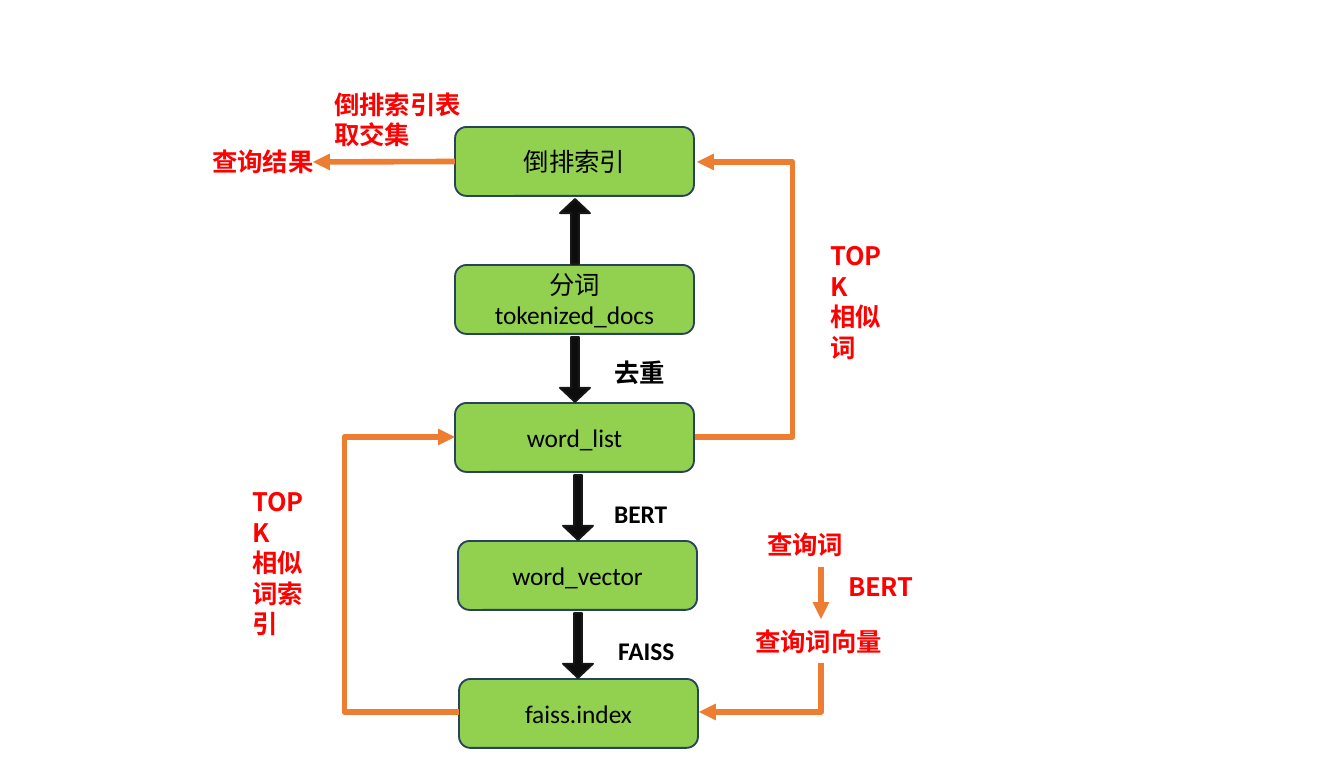
"""Build the word search flow slide."""
from lxml import etree
from pptx import Presentation, util as u
from pptx.dml.color import RGBColor
from pptx.enum import shapes, text
from pptx.oxml import ns

GREEN = RGBColor(0x92, 0xD0, 0x50)
NAVY = RGBColor(0x28, 0x44, 0x5D)
INK = RGBColor(0x0D, 0x0D, 0x0D)
EDGE = RGBColor(0x18, 0x17, 0x17)
BLACK = RGBColor(0, 0, 0)
RED = RGBColor(0xFF, 0, 0)
ORANGE = RGBColor(0xED, 0x7D, 0x31)
LATIN, HAN = "Calibri", "Noto Sans CJK SC"


def px(n):
    return u.Emu(round(n * 914400 / 134.4))


class Flow:
    """Holds the style and the current slide."""

    def __init__(self, slide):
        self.slide = slide
        self.size = u.Pt(13.6)

    def letter(self, frame, words, font, color, bold=False, align=None):
        frame.word_wrap = True
        frame.text = words
        for para in frame.paragraphs:
            para.alignment = align
            para.font.size, para.font.name = self.size, font
            para.font.bold, para.font.color.rgb = bold, color

    def shape(self, kind, x, y, w, h, fill, edge):
        item = self.slide.shapes.add_shape(kind, px(x), px(y), px(w), px(h))
        item.shadow.inherit = False
        item.fill.solid()
        item.fill.fore_color.rgb = fill
        item.line.color.rgb, item.line.width = edge, u.Pt(1)
        return item

    def box(self, x, y, words):
        item = self.shape(shapes.MSO_SHAPE.ROUNDED_RECTANGLE, x, y, 239, 69, GREEN, NAVY)
        item.text_frame.vertical_anchor = text.MSO_ANCHOR.MIDDLE
        self.letter(item.text_frame, words, LATIN, BLACK, align=text.PP_ALIGN.CENTER)
        return item

    def block(self, x, y, turn):
        item = self.shape(shapes.MSO_SHAPE.DOWN_ARROW, x, y, 30, 65, INK, EDGE)
        item.adjustments[0], item.adjustments[1] = 0.26, 0.47
        item.rotation = turn

    def label(self, x, y, w, h, words, font=HAN, color=RED):
        item = self.slide.shapes.add_textbox(px(x), px(y), px(w), px(h))
        self.letter(item.text_frame, words, font, color, bold=True)

    def arrow(self, x, y, x2, y2, kind=shapes.MSO_CONNECTOR.STRAIGHT):
        item = self.slide.shapes.add_connector(kind, px(x), px(y), px(x2), px(y2))
        item.line.color.rgb, item.line.width = ORANGE, u.Pt(3)
        props = item._element.spPr
        etree.SubElement(props.find(ns.qn("a:ln")), ns.qn("a:tailEnd"), type="triangle")
        etree.SubElement(props, ns.qn("a:effectLst"))
        return item

    def loop(self, x, y, x2, y2, bend):
        item = self.arrow(x, y, x2, y2, shapes.MSO_CONNECTOR.ELBOW)
        geom = item._element.spPr.find(ns.qn("a:prstGeom"))
        guides = geom.find(ns.qn("a:avLst"))
        if guides is None:
            guides = etree.SubElement(geom, ns.qn("a:avLst"))
        ratio = round((bend - x) / (x2 - x) * 100000)
        etree.SubElement(guides, ns.qn("a:gd"), name="adj1", fmla=f"val {ratio}")

    def corner(self, x, y, x2, y2):
        midx, midy = (x + x2) / 2, (y + y2) / 2
        w, h = y2 - y, x - x2
        item = self.arrow(midx - w / 2, midy - h / 2, midx + w / 2, midy + h / 2,
                          shapes.MSO_CONNECTOR.ELBOW)
        item._element.spPr.find(ns.qn("a:prstGeom")).set("prst", "bentConnector2")
        item.rotation = 90


def main():
    deck = Presentation()
    deck.slide_width, deck.slide_height = px(1344), px(762)
    flow = Flow(deck.slides.add_slide(deck.slide_layouts[6]))

    top, step = 127, 138
    steps = [(455, "倒排索引"), (455, "分词\ntokenized_docs"), (455, "word_list"),
             (458, "word_vector"), (459, "faiss.index")]
    boxes = [flow.box(x, top + i * step, words) for i, (x, words) in enumerate(steps)]
    for i, (x, turn) in enumerate([(560, 180), (560, 0), (563, 0), (563, 0)]):
        flow.block(x, top + 72 + i * step, turn)

    for x, y, words in [(601, 351, "去重"), (601, 492, "BERT"), (605, 629, "FAISS")]:
        flow.label(x, y, 133, 44, words, LATIN, BLACK)

    flow.arrow(821, 567, 821, 619)
    flow.loop(459, 712, 455, 437, 345)
    flow.corner(821, 663, 699, 712)
    flow.loop(695, 437, 697, 162, 792)
    flow.arrow(455, 162, 313, 162).begin_connect(boxes[0], 1)

    for spot in [(754, 523, 133, 44, "查询词"), (835, 565, 133, 44, "BERT"),
                 (742, 620, 160, 44, "查询词向量"), (239, 480, 83, 136, "TOPK\n相似词索引"),
                 (817, 234, 83, 106, "TOPK\n相似词"), (321, 82, 153, 75, "倒排索引表取交集"),
                 (199, 140, 133, 44, "查询结果")]:
        flow.label(*spot)
    deck.save("out.pptx")


if __name__ == "__main__":
    main()
